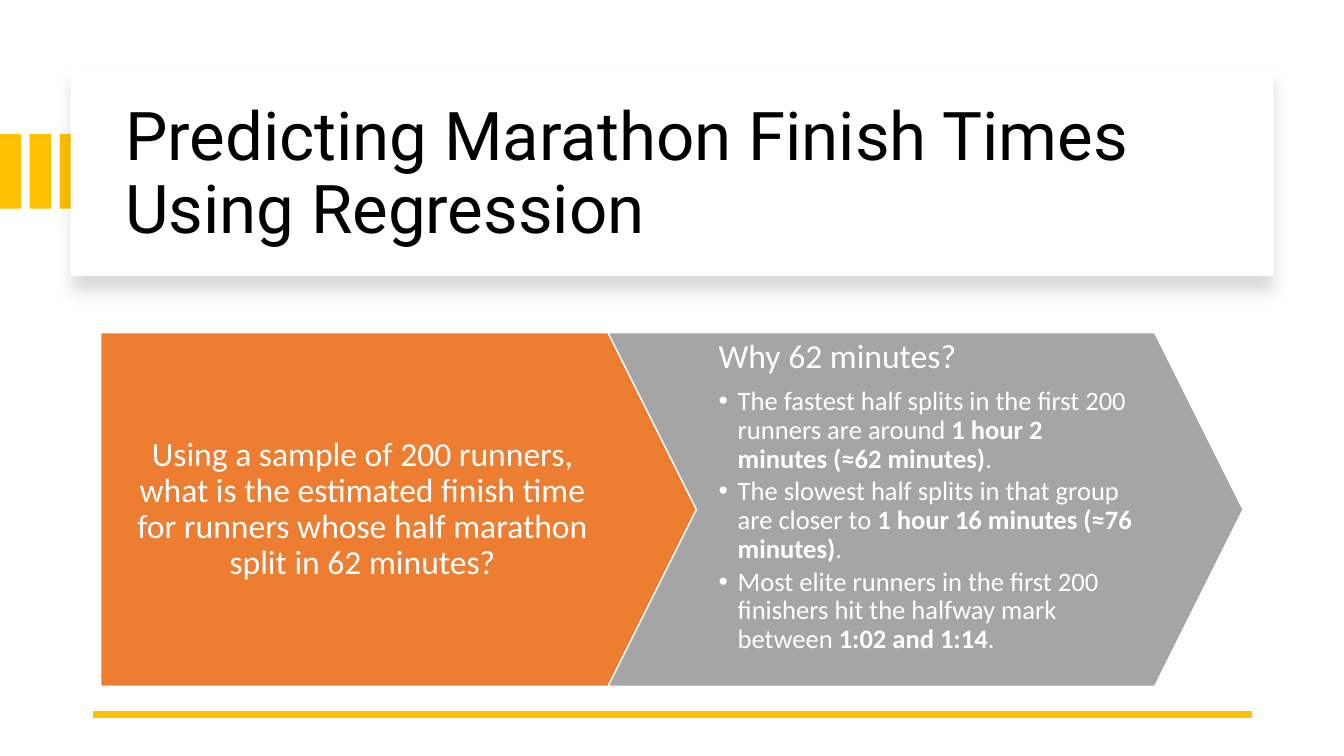
from lxml import etree
from pptx import Presentation
from pptx import util as u
from pptx.dml.color import RGBColor
from pptx.enum import shapes, text
from pptx.oxml import ns

GOLD = RGBColor(0xFF, 0xC0, 0x00)
ORANGE = RGBColor(0xED, 0x7D, 0x31)
GREY = RGBColor(0xA5, 0xA5, 0xA5)
WHITE = RGBColor(0xFF, 0xFF, 0xFF)
BLACK = RGBColor(0x00, 0x00, 0x00)
KIND = shapes.MSO_SHAPE
ALIGN = text.PP_ALIGN

deck = Presentation()
deck.slide_width, deck.slide_height = u.Inches(13.33), u.Inches(7.5)
slide = deck.slides.add_slide(deck.slide_layouts[5])


def block(kind, left, top, width, height, fill, edge=None):
    """Add a filled shape, sized in inches, with an optional 1 pt edge."""
    item = slide.shapes.add_shape(kind, *map(u.Inches, (left, top, width, height)))
    item.shadow.inherit = False
    item.fill.solid()
    item.fill.fore_color.rgb = fill
    if edge is None:
        item.line.fill.background()
    else:
        item.line.color.rgb = edge
        item.line.width = u.Pt(1)
    return item


def write(para, parts, size, color=WHITE, font="Calibri",
          align=ALIGN.LEFT, after=0, bullet=False):
    """Fill a paragraph; every second part is bold."""
    if bullet:
        props = para._p.get_or_add_pPr()
        indent = u.Inches(0.19)
        props.set("marL", str(indent))
        props.set("indent", str(-indent))
        etree.SubElement(props, ns.qn("a:buFont")).set("typeface", "Arial")
        etree.SubElement(props, ns.qn("a:buChar")).set("char", "•")
    para.alignment = align
    para.line_spacing = 0.9
    para.space_before = u.Pt(0)
    para.space_after = u.Pt(after)
    for i, part in enumerate(parts):
        run = para.add_run()
        run.text = part
        run.font.size = u.Pt(size)
        run.font.name = font
        run.font.color.rgb = color
        run.font.bold = i % 2 == 1


# Gold bars tucked behind the title card
for col in range(3):
    block(KIND.RECTANGLE, col * 0.295, 1.33, 0.21, 0.74, GOLD)

card = block(KIND.RECTANGLE, 0.7, 0.67, 11.93, 2.07, WHITE)
glow = etree.SubElement(card._element.spPr.find(ns.qn("a:effectLst")), ns.qn("a:outerShdw"),
                        blurRad=str(u.Pt(11)), dist=str(u.Pt(10)), dir="5400000",
                        algn="t", rotWithShape="0")
tint = etree.SubElement(glow, ns.qn("a:srgbClr"), val="000000")
etree.SubElement(tint, ns.qn("a:alpha"), val="15000")

title = slide.shapes.title
slide.shapes._spTree.append(title._element)  # bring in front of the card
title.left, title.top, title.width, title.height = map(u.Inches, (1.14, 0.89, 11.13, 1.7))
title.text_frame.word_wrap = True
title.text_frame.auto_size = text.MSO_AUTO_SIZE.NONE
title.text_frame.vertical_anchor = text.MSO_ANCHOR.MIDDLE
write(title.text_frame.paragraphs[0], ["Predicting Marathon Finish Times Using Regression"],
      48, color=BLACK, font="Roboto")

rule = slide.shapes.add_connector(shapes.MSO_CONNECTOR.STRAIGHT,
                                  *map(u.Inches, (0.92, 7.09, 12.42, 7.09)))
rule.line.color.rgb = GOLD
rule.line.width = u.Pt(4.5)
etree.SubElement(rule._element.spPr, ns.qn("a:effectLst"))

# Two arrow steps: the question, then the reasons
steps = [
    (KIND.PENTAGON, 1, ORANGE, 0.89, text.MSO_ANCHOR.MIDDLE),
    (KIND.CHEVRON, 6.03, GREY, 0.22, text.MSO_ANCHOR.TOP),
]
frames = []
for kind, left, fill, inset, anchor in steps:
    step = block(kind, left, 3.3, 6.3, 3.51, fill, edge=WHITE)
    step.adjustments[0] = 0.25
    frame = step.text_frame
    frame.word_wrap = True
    frame.vertical_anchor = anchor
    frame.margin_left, frame.margin_right = u.Inches(0.22), u.Inches(inset)
    frame.margin_top = frame.margin_bottom = u.Inches(0.07)
    frames.append(frame)
ask, why = frames

write(ask.paragraphs[0],
      ["Using a sample of 200 runners, what is the estimated finish time "
       "for runners whose half marathon split in 62 minutes?"],
      24, align=ALIGN.CENTER)

write(why.paragraphs[0], ["Why 62 minutes?"], 24, after=8.4)
reasons = [
    ("The fastest half splits in the first 200 runners are around ",
     "1 hour 2 minutes (≈62 minutes)", "."),
    ("The slowest half splits in that group are closer to ",
     "1 hour 16 minutes (≈76 minutes)", "."),
    ("Most elite runners in the first 200 finishers hit the halfway mark between ",
     "1:02 and 1:14", "."),
]
for parts in reasons:
    write(why.add_paragraph(), parts, 19, after=2.85, bullet=True)

deck.save("out.pptx")
